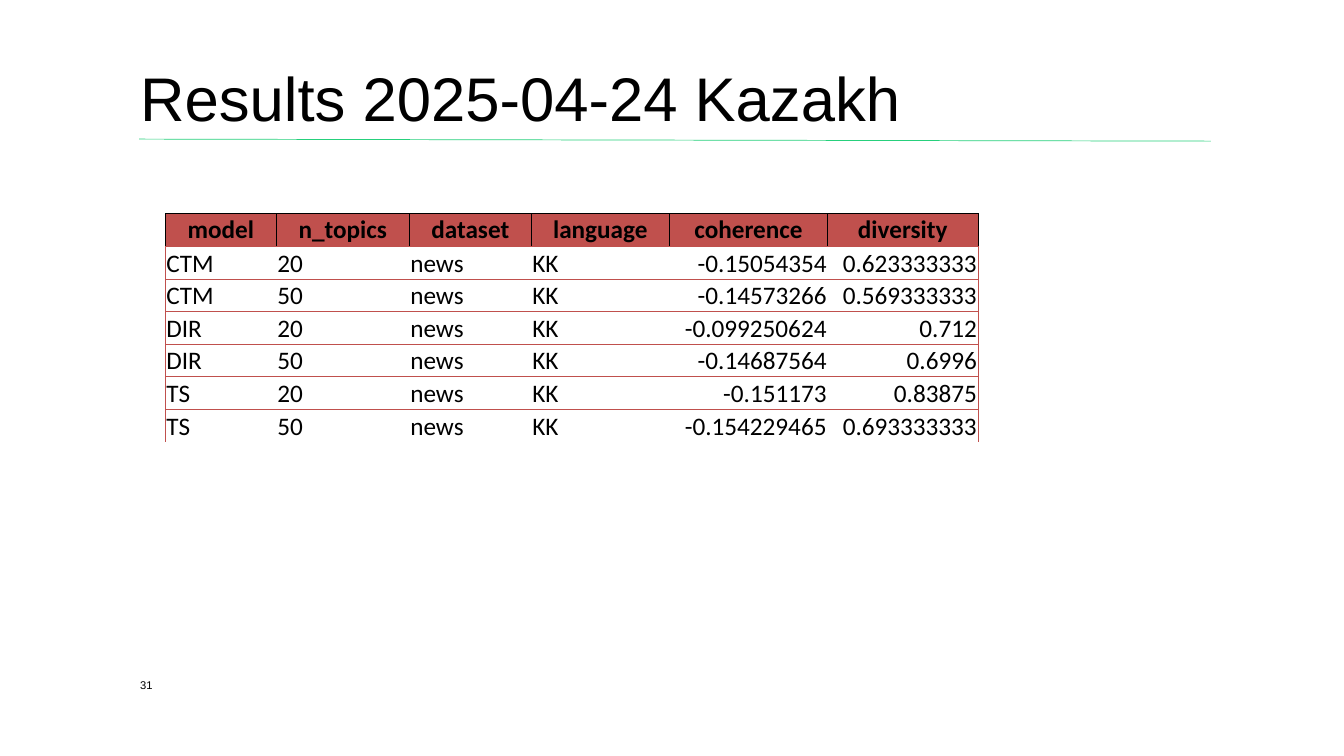
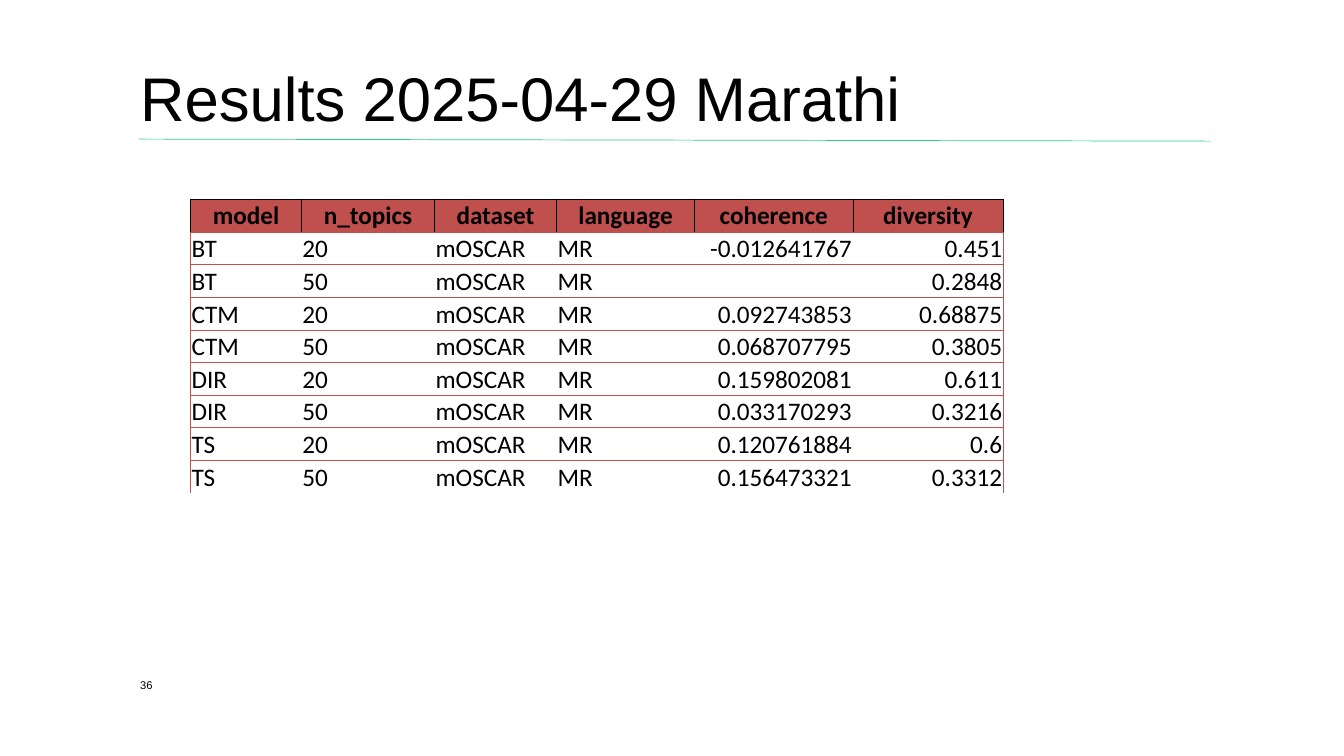
import pptx
import pptx.util
import pptx.dml.color
import pptx.enum.shapes
import pptx.enum.text
import pptx.oxml.ns
import lxml.etree

Inches = pptx.util.Inches
Pt = pptx.util.Pt
RGB = pptx.dml.color.RGBColor.from_string
ALIGN = pptx.enum.text.PP_ALIGN
ANCHOR = pptx.enum.text.MSO_ANCHOR
qn = pptx.oxml.ns.qn

THEME = {
    "ink": "000000", "red": "C0504D", "green": "26D07C",
    "font": "Arial", "grid": "Calibri",
    "title": 44, "cell": 18, "page": 8, "line": 0.5,
}
PLAIN = "{2D5ABB26-0587-4C30-8999-92F81FD0307C}"  # table style without grid

HEAD = ["model", "n_topics", "dataset", "language", "coherence", "diversity"]
WIDTHS = [1.1, 1.32, 1.21, 1.37, 1.57, 1.49]
ROW = 2.91 / 9

# Each row: model, n_topics, coherence, diversity
PAGES = [
    {"title": "Results 2025-04-24 Kazakh", "page": "31", "at": (1.64, 2.12),
     "data": "news", "lang": "KK", "rows": [
         ("CTM", "20", "-0.15054354", "0.623333333"),
         ("CTM", "50", "-0.14573266", "0.569333333"),
         ("DIR", "20", "-0.099250624", "0.712"),
         ("DIR", "50", "-0.14687564", "0.6996"),
         ("TS", "20", "-0.151173", "0.83875"),
         ("TS", "50", "-0.154229465", "0.693333333")]},
    {"title": "Results 2025-04-29 Marathi", "page": "36", "at": (1.89, 1.98),
     "data": "mOSCAR", "lang": "MR", "rows": [
         ("BT", "20", "-0.012641767", "0.451"),
         ("BT", "50", "", "0.2848"),
         ("CTM", "20", "0.092743853", "0.68875"),
         ("CTM", "50", "0.068707795", "0.3805"),
         ("DIR", "20", "0.159802081", "0.611"),
         ("DIR", "50", "0.033170293", "0.3216"),
         ("TS", "20", "0.120761884", "0.6"),
         ("TS", "50", "0.156473321", "0.3312")]},
]


def label(slide, text, box, size):
    frame = slide.shapes.add_textbox(*map(Inches, box)).text_frame
    frame.word_wrap = True
    frame.vertical_anchor = ANCHOR.BOTTOM
    frame.margin_left = frame.margin_right = 0
    frame.margin_top = frame.margin_bottom = 0
    para = frame.paragraphs[0]
    para.text = text
    para.font.name = THEME["font"]
    para.font.size = Pt(size)
    para.font.color.rgb = RGB(THEME["ink"])
    return para


def border(cell, sides):
    """Draw the given sides (L, R, T, B) of a cell; leave the others empty."""
    props = cell._tc.get_or_add_tcPr()
    for side in "LRTB":
        line = lxml.etree.SubElement(props, qn("a:ln" + side),
                                     w=str(Pt(THEME["line"])))
        if side in sides:
            fill = lxml.etree.SubElement(line, qn("a:solidFill"))
            lxml.etree.SubElement(fill, qn("a:srgbClr"), val=sides[side])
        else:
            lxml.etree.SubElement(line, qn("a:noFill"))


deck = pptx.Presentation()
deck.slide_width = Inches(13.33)
deck.slide_height = Inches(7.5)

for page in PAGES:
    slide = deck.slides.add_slide(deck.slide_layouts[6])

    # Rule, title and page number
    rule = slide.shapes.add_connector(
        pptx.enum.shapes.MSO_CONNECTOR.STRAIGHT,
        Inches(1.38), Inches(1.38), Inches(12.01), Inches(1.4))
    rule.line.color.rgb = RGB(THEME["green"])
    rule.line.width = Pt(THEME["line"])
    lxml.etree.SubElement(rule._element.spPr, qn("a:effectLst"))
    title = label(slide, page["title"], (1.39, 0.4, 10.62, 0.94), THEME["title"])
    title.line_spacing = 0.9
    label(slide, page["page"], (1.39, 6.6, 0.5, 0.26), THEME["page"])

    # Results table
    rows = [HEAD] + [(model, count, page["data"], page["lang"], coh, div)
                     for model, count, coh, div in page["rows"]]
    left, top = page["at"]
    frame = slide.shapes.add_table(
        len(rows), len(HEAD), Inches(left), Inches(top),
        Inches(sum(WIDTHS)), Inches(ROW * len(rows)))
    table = frame.table
    table.first_row = table.horz_banding = False
    table._tbl.tblPr.find(qn("a:tableStyleId")).text = PLAIN
    for col, width in zip(table.columns, WIDTHS):
        col.width = Inches(width)

    for r, row in enumerate(rows):
        for c, text in enumerate(row):
            cell = table.cell(r, c)
            cell.margin_left = cell.margin_right = cell.margin_top = Inches(0.01)
            cell.margin_bottom = 0
            para = cell.text_frame.paragraphs[0]
            para.text = text
            para.font.name = THEME["grid"]
            para.font.size = Pt(THEME["cell"])
            para.font.bold = r == 0
            para.font.color.rgb = RGB(THEME["ink"])
            if r == 0:
                sides = dict.fromkeys("LRT", THEME["ink"])
                sides["B"] = THEME["red"]
                border(cell, sides)
                cell.fill.solid()
                cell.fill.fore_color.rgb = RGB(THEME["red"])
                cell.vertical_anchor = ANCHOR.TOP
                para.alignment = ALIGN.CENTER
            else:
                # Lines between rows, closed at the sides, open at the foot
                drawn = "T"
                if r < len(rows) - 1:
                    drawn += "B"
                if c == 0:
                    drawn += "L"
                if c == len(HEAD) - 1:
                    drawn += "R"
                border(cell, dict.fromkeys(drawn, THEME["red"]))
                cell.fill.background()
                cell.vertical_anchor = ANCHOR.BOTTOM
                para.alignment = ALIGN.RIGHT if c >= 4 else ALIGN.LEFT

deck.save("out.pptx")
